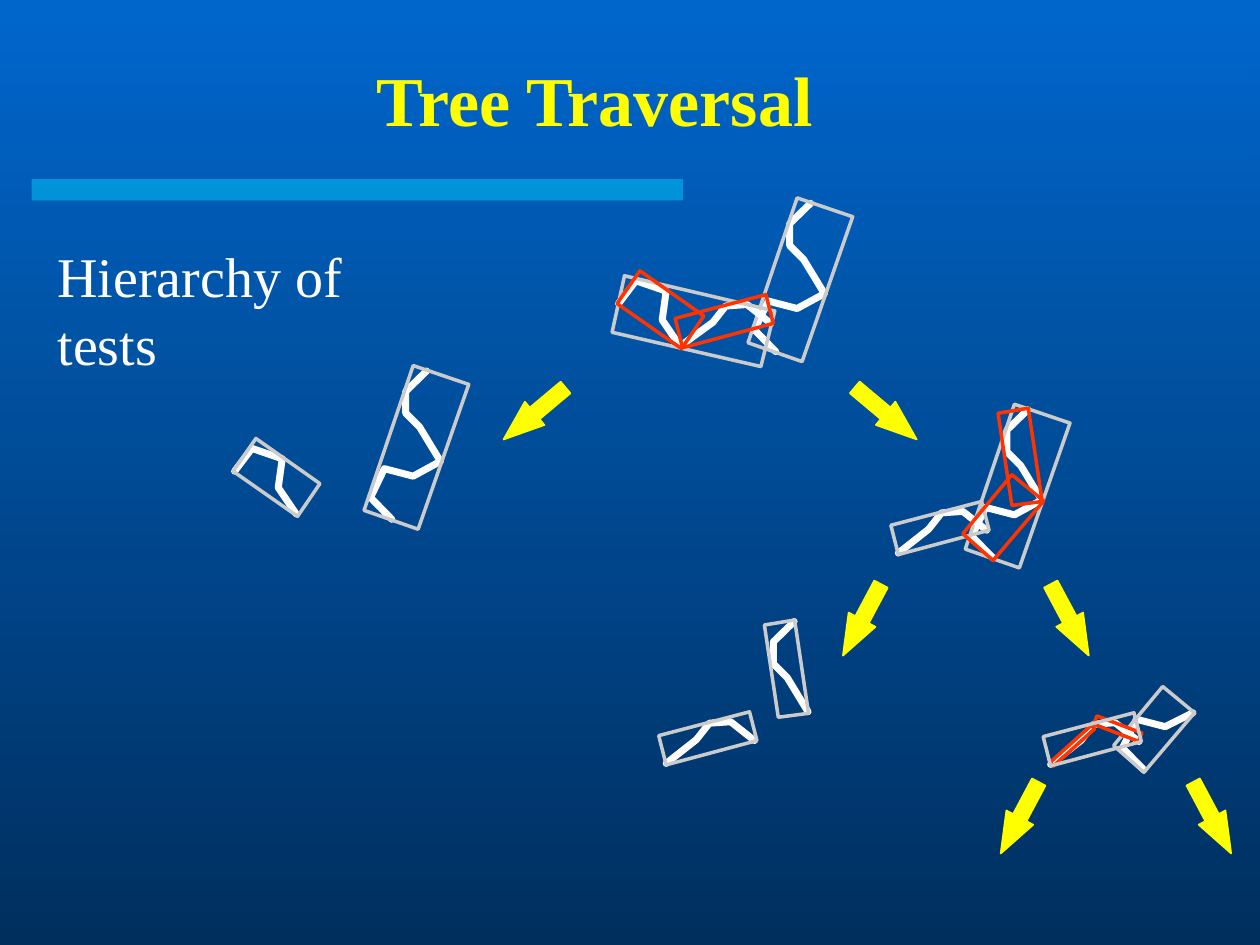
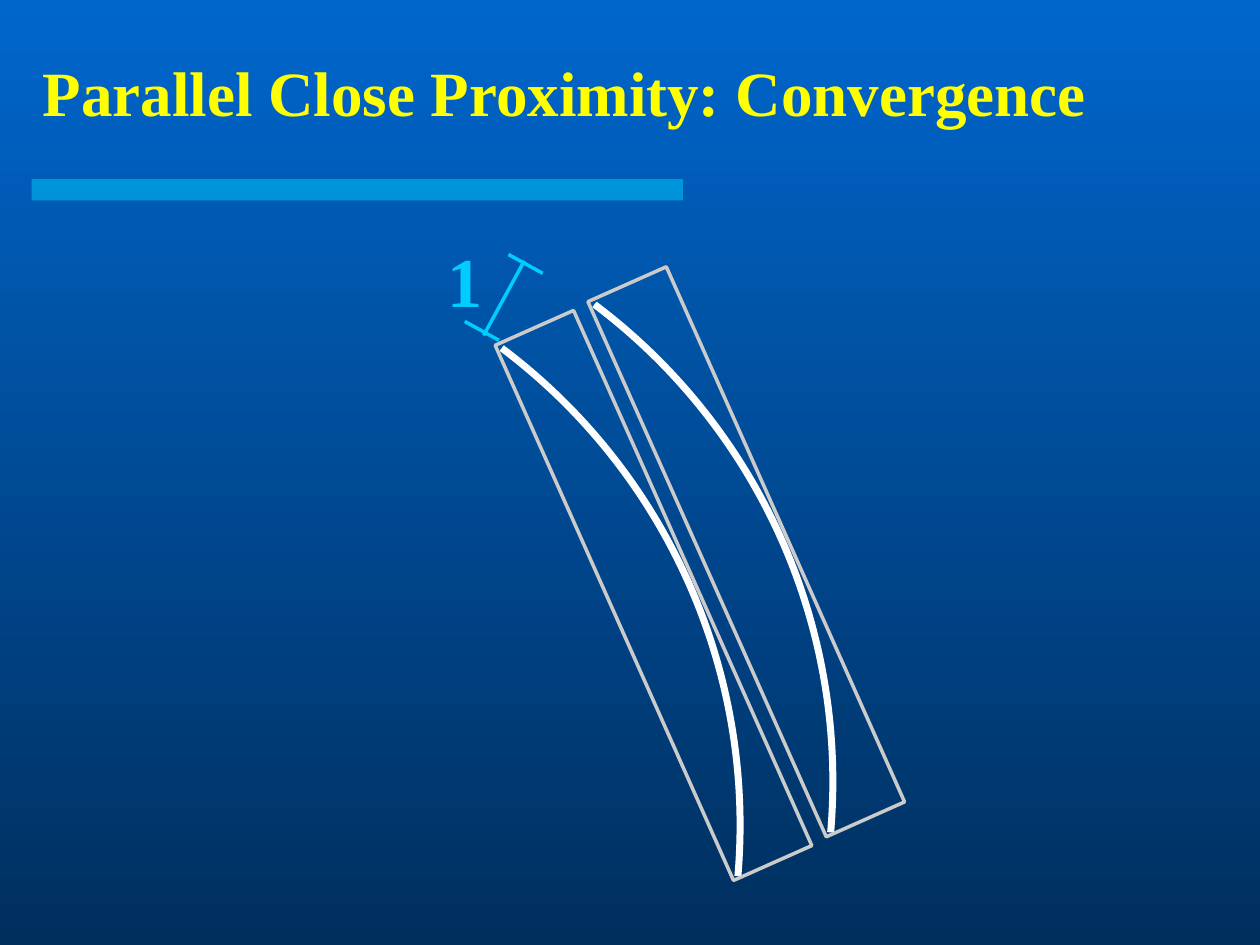
from lxml.etree import SubElement
from pptx import Presentation
from pptx.dml.color import RGBColor
from pptx.enum.shapes import MSO_CONNECTOR, MSO_SHAPE
from pptx.enum.text import MSO_ANCHOR, PP_ALIGN
from pptx.oxml.ns import qn
from pptx.util import Cm, Pt

COLORS = {
    "top": "0066CC", "bottom": "002F5E", "band": "00CCFF", "title": "FFFF00",
    "text": "FFFFFF", "chain": "FFFFFF", "box": "CBCBCB", "hit": "FF3300",
    "arrow": "FFFF00", "measure": "00CCFF",
}
FONT = "Times New Roman"

OUTLINES = {
    "tip": [(1.75, 0.91), (1.3, 1.57), (0, 0.66), (0.46, 0)],
    "right": [(1.83, 0), (1.98, 0.58), (0.15, 1.07), (0, 0.48)],
    "upper": [(0, 0.1), (0.61, 0), (0.89, 1.88), (0.28, 1.96)],
    "lower": [(0.99, 0), (1.63, 0.53), (0.61, 1.73), (0, 1.19)],
    "wide": [(3.28, 0.71), (3, 1.83), (0, 1.14), (0.25, 0)],
    "tall": [(0.99, 0), (2.11, 0.38), (1.09, 3.3), (0, 2.92)],
}
CHAINS = {
    "tip": [(0.03, 0.66), (0.38, 0.2), (0.99, 0.41), (0.91, 0.99), (1.27, 1.52)],
    "right": [(0.15, 1.04), (0.76, 0.56), (1.02, 0.23), (1.45, 0.2), (1.93, 0.58)],
    "upper": [(0.6, 0.03), (0.18, 0.44), (0.18, 0.88), (0.46, 1.16), (0.88, 1.85)],
    "lower": [(1.6, 0.53), (1.04, 0.81), (0.46, 0.66), (0.18, 1.24), (0.61, 1.68)],
}
HALVES = {
    "wide": {"tip": (0.1, -0.1), "right": (1.27, 0.38)},
    "tall": {"upper": (0.66, 0.08), "lower": (-0.05, 1.42)},
}


def rgb(name):
    """Return the named colour."""
    return RGBColor.from_string(COLORS[name])


def shift(points, dx, dy):
    """Move points by an offset."""
    return [(x + dx, y + dy) for x, y in points]


def chain_points(part):
    """Return the chain of a part, joining its two halves if it has them."""
    if part in CHAINS:
        return CHAINS[part]
    first, second = (shift(CHAINS[h], *at) for h, at in HALVES[part].items())
    return first + second[1:]


def stroke(sp, color, width):
    """Leave a shape unfilled and give it a plain line."""
    sp.shadow.inherit = False
    sp.fill.background()
    sp.line.color.rgb = rgb(color)
    sp.line.width = Pt(width)


def add_path(shapes, points, color, width, close=False):
    """Draw a path through points given in centimetres."""
    pts = [(Cm(x), Cm(y)) for x, y in points]
    fb = shapes.build_freeform(*pts[0], scale=1.0)
    fb.add_line_segments(pts[1:], close=close)
    sp = fb.convert_to_shape()
    stroke(sp, color, width)
    sp._element.spPr.find(qn("a:ln")).set("cap", "rnd")


def add_outline(shapes, part, left, top, color="box"):
    """Draw the bounding box of a part."""
    add_path(shapes, shift(OUTLINES[part], left, top), color, 2, close=True)


def add_part(shapes, part, left, top):
    """Draw the chain of a part inside its bounding box."""
    add_path(shapes, shift(chain_points(part), left, top), "chain", 4)
    add_outline(shapes, part, left, top)


def add_hits(shapes, part, left, top):
    """Mark the two halves of a part that are tested next."""
    for half, (dx, dy) in reversed(HALVES[part].items()):
        add_outline(shapes, half, left + dx, top + dy, "hit")


def add_bar(shapes, left, top, width, height, angle, color):
    """Draw an unfilled rotated rectangle."""
    sp = shapes.add_shape(MSO_SHAPE.RECTANGLE, Cm(left), Cm(top), Cm(width), Cm(height))
    sp.rotation = angle
    stroke(sp, color, 2)


def add_text(slide, text, box, size, color, bold=False, align=PP_ALIGN.LEFT,
             anchor=MSO_ANCHOR.TOP, wrap=False):
    """Place one line of text in a box."""
    tf = slide.shapes.add_textbox(*map(Cm, box)).text_frame
    tf.word_wrap = wrap
    tf.vertical_anchor = anchor
    p = tf.paragraphs[0]
    p.text = text
    p.alignment = align
    p.font.name = FONT
    p.font.size = Pt(size)
    p.font.bold = bold
    p.font.color.rgb = rgb(color)


def add_slide(prs, title, box, size):
    """Add a slide with the shared background, band and title style."""
    slide = prs.slides.add_slide(prs.slide_layouts[6])
    fill = slide.background.fill
    fill.gradient()
    fill.gradient_angle = 270
    for stop, name in zip(fill.gradient_stops, ("top", "bottom")):
        stop.color.rgb = rgb(name)
    band = slide.shapes.add_shape(MSO_SHAPE.RECTANGLE, Cm(0.64), Cm(3.61), Cm(13.13), Cm(0.43))
    band.shadow.inherit = False
    band.fill.solid()
    band.fill.fore_color.rgb = rgb("band")
    color = band._element.spPr.find(qn("a:solidFill"))[0]
    SubElement(color, qn("a:alpha"), val="50000")
    band.line.fill.background()
    add_text(slide, title, box, size, "title", True, PP_ALIGN.CENTER, MSO_ANCHOR.MIDDLE, True)
    return slide


def add_root(shapes, left, top):
    """Draw the first test, where the wide part is split."""
    add_part(shapes, "tall", left + 2.74, top)
    add_part(shapes, "wide", left, top + 1.57)
    add_hits(shapes, "wide", left, top + 1.57)


def add_tip_test(shapes, left, top):
    """Draw the test of the tip against the tall part."""
    add_part(shapes, "tall", left + 2.64, top)
    add_part(shapes, "tip", left, top + 1.47)


def add_right_test(shapes, left, top):
    """Draw the test of the right half, where the tall part is split."""
    add_part(shapes, "tall", left + 1.5, top)
    add_part(shapes, "right", left, top + 1.96)
    add_hits(shapes, "tall", left + 1.5, top)


def add_upper_test(shapes, left, top):
    """Draw the test of the right half against the upper half."""
    add_part(shapes, "right", left, top + 1.85)
    add_part(shapes, "upper", left + 2.13, top)


def add_lower_test(shapes, left, top):
    """Draw the test of the right half against the lower half."""
    add_part(shapes, "lower", left + 1.42, top)
    add_path(shapes, shift(CHAINS["right"], left, top + 0.53), "chain", 4)
    add_bar(shapes, left + 0.03, top + 1.14, 1.12, 0.1, 318, "hit")
    add_bar(shapes, left + 1.02, top + 0.76, 0.97, 0.18, 21, "hit")
    add_outline(shapes, "right", left, top + 0.53)


def add_branches(slide, lefts, top, angle):
    """Draw a mirrored pair of arrows down to the next level."""
    for left, turn in zip(lefts, (180 - angle, angle)):
        sp = slide.shapes.add_shape(MSO_SHAPE.RIGHT_ARROW, Cm(left), Cm(top), Cm(1.63), Cm(0.61))
        sp.shadow.inherit = False
        sp.adjustments[1] = 1.34
        sp.rotation = turn
        sp.fill.solid()
        sp.fill.fore_color.rgb = rgb("arrow")
        sp.line.color.rgb = rgb("arrow")
        sp.line.width = Pt(1)


def tree_slide(prs):
    """Build the slide on tree traversal."""
    slide = add_slide(prs, "Tree Traversal", (0.74, 0.81, 22.5, 2.36), 40)
    nodes = (
        (add_tip_test, 4.7, 7.37), (add_root, 12.34, 3.99),
        (add_right_test, 17.96, 8.15), (add_upper_test, 13.28, 12.5),
        (add_lower_test, 21.03, 13.84),
    )
    for add_node, left, top in nodes:
        add_node(slide.shapes.add_group_shape().shapes, left, top)
    add_branches(slide, (9.96, 17.04), 8.03, 40)
    add_branches(slide, (16.56, 20.75), 12.19, 62)
    add_branches(slide, (19.74, 23.62), 16.18, 62)
    add_text(slide, "Hierarchy of tests", (0.91, 4.75, 8.53, 1.6), 32, "text")


def add_curve(slide, left, top):
    """Draw an arc with its slanted bounding box."""
    shapes = slide.shapes.add_group_shape().shapes
    arc = shapes.add_shape(MSO_SHAPE.ARC, Cm(left - 16.4), Cm(top - 6.53), Cm(24.05), Cm(24.05))
    for i, degrees in enumerate((306.9, 4.9)):
        arc.adjustments[i] = degrees * 0.6
    stroke(arc, "chain", 4)
    add_bar(shapes, left, top, 11.81, 1.73, 66, "box")


def add_measure(slide, left, top):
    """Draw a slanted dimension line with a tick at each end."""
    shapes = slide.shapes.add_group_shape().shapes
    tick = [(0.69, 1.73), (0, 1.35)]
    stem = [(0.38, 1.63), (1.2, 0.13)]
    for line in (stem, tick, shift(tick, 0.88, -1.35)):
        (x1, y1), (x2, y2) = shift(line, left, top)
        cn = shapes.add_connector(MSO_CONNECTOR.STRAIGHT, Cm(x1), Cm(y1), Cm(x2), Cm(y2))
        cn.line.color.rgb = rgb("measure")
        cn.line.width = Pt(2)
        SubElement(cn._element.spPr, qn("a:effectLst"))


def convergence_slide(prs):
    """Build the slide on convergence."""
    slide = add_slide(prs, "Parallel Close Proximity: Convergence", (0, 0.51, 22.76, 2.67), 36)
    add_curve(slide, 9.14, 10.26)
    add_curve(slide, 7.27, 11.14)
    add_measure(slide, 9.37, 5.13)
    add_text(slide, "1", (8.76, 4.67, 1.22, 1.93), 40, "measure", True, PP_ALIGN.CENTER)


def main():
    """Build and save the presentation."""
    prs = Presentation()
    prs.slide_width, prs.slide_height = Cm(25.4), Cm(19.05)
    tree_slide(prs)
    convergence_slide(prs)
    prs.save("out.pptx")


if __name__ == "__main__":
    main()
